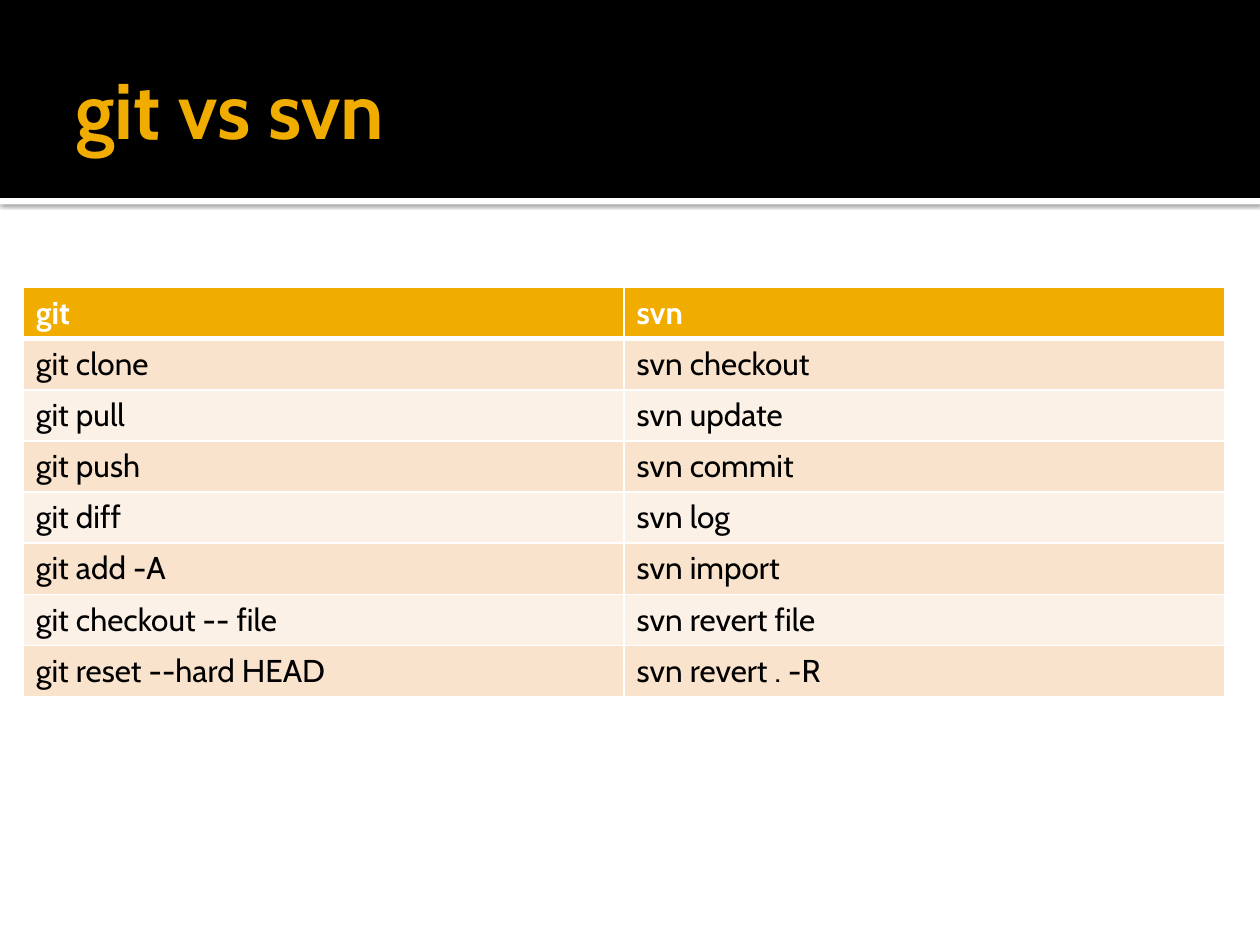
from lxml.etree import SubElement
from pptx import Presentation
from pptx.dml.color import RGBColor
from pptx.enum.shapes import MSO_SHAPE as Shape
from pptx.enum.text import MSO_ANCHOR as Anchor, PP_ALIGN as Align
from pptx.oxml.ns import qn
from pptx.util import Cm, Pt

FONT = "Cabin"
BLACK, WHITE, AMBER = "000000", "FFFFFF", "F0AD00"
ROW_TINTS = ["F9E3CC", "FCF1E7"]


def paint(color_holder, color):
    color_holder.solid()
    color_holder.fore_color.rgb = RGBColor.from_string(color)


def style_text(paragraph, size, color, bold):
    font = paragraph.runs[0].font
    font.name, font.size, font.bold = FONT, Pt(size), bold
    paint(font.fill, color)


prs = Presentation()
prs.slide_width, prs.slide_height = Cm(25.4), Cm(19.05)
slide = prs.slides.add_slide(prs.slide_layouts[5])
paint(slide.background.fill, WHITE)

# Header: white rule with a soft shadow, then the black band
for top, height, color in [(3.99, 0.13, WHITE), (0, 3.99, BLACK)]:
    band = slide.shapes.add_shape(Shape.RECTANGLE, 0, Cm(top), prs.slide_width, Cm(height))
    band.shadow.inherit = False
    band.line.fill.background()
    paint(band.fill, color)
    if color == WHITE:
        effects = band._element.spPr.find(qn("a:effectLst"))
        shadow = SubElement(effects, qn("a:outerShdw"), blurRad=str(Pt(2.5)),
                            dist=str(Pt(0.8)), dir="5400000", algn="tl", rotWithShape="0")
        shadow_color = SubElement(shadow, qn("a:srgbClr"), val=BLACK)
        SubElement(shadow_color, qn("a:alpha"), val="60000")

# Title, brought in front of the band
title = slide.shapes.title
slide.shapes._spTree.append(title._element)
title.left, title.top, title.width, title.height = Cm(1.27), Cm(0.43), Cm(22.86), Cm(3.48)
title_frame = title.text_frame
title_frame.text = "git vs svn"
title_frame.vertical_anchor = Anchor.MIDDLE
title_frame.margin_left = Cm(0.25)
title_frame.margin_top = title_frame.margin_right = title_frame.margin_bottom = Cm(0.13)
title_frame.paragraphs[0].alignment = Align.LEFT
style_text(title_frame.paragraphs[0], 45, AMBER, True)

# Command comparison table
commands = [
    ("git", "svn"),
    ("git clone", "svn checkout"),
    ("git pull", "svn update"),
    ("git push", "svn commit"),
    ("git diff", "svn log"),
    ("git add -A", "svn import"),
    ("git checkout -- file", "svn revert file"),
    ("git reset --hard HEAD", "svn revert . -R"),
]
table = slide.shapes.add_table(len(commands), 2, Cm(0.47), Cm(5.8),
                               Cm(24.22), Cm(1.03 * len(commands))).table

for row, pair in enumerate(commands):
    is_header = row == 0
    for column, command in enumerate(pair):
        cell = table.cell(row, column)
        cell.text_frame.text = command
        style_text(cell.text_frame.paragraphs[0], 18, WHITE if is_header else BLACK, is_header)

        # White borders, heavier around the header's lower edge
        top_width = 3 if row == 1 else 1
        bottom_width = 3 if is_header else 1
        cell_props = cell._tc.get_or_add_tcPr()
        for side, width in [("L", 1), ("R", 1), ("T", top_width), ("B", bottom_width)]:
            border = SubElement(cell_props, qn(f"a:ln{side}"), w=str(Pt(width)))
            border_fill = SubElement(border, qn("a:solidFill"))
            SubElement(border_fill, qn("a:srgbClr"), val=WHITE)
        paint(cell.fill, AMBER if is_header else ROW_TINTS[(row - 1) % 2])

prs.save("out.pptx")
